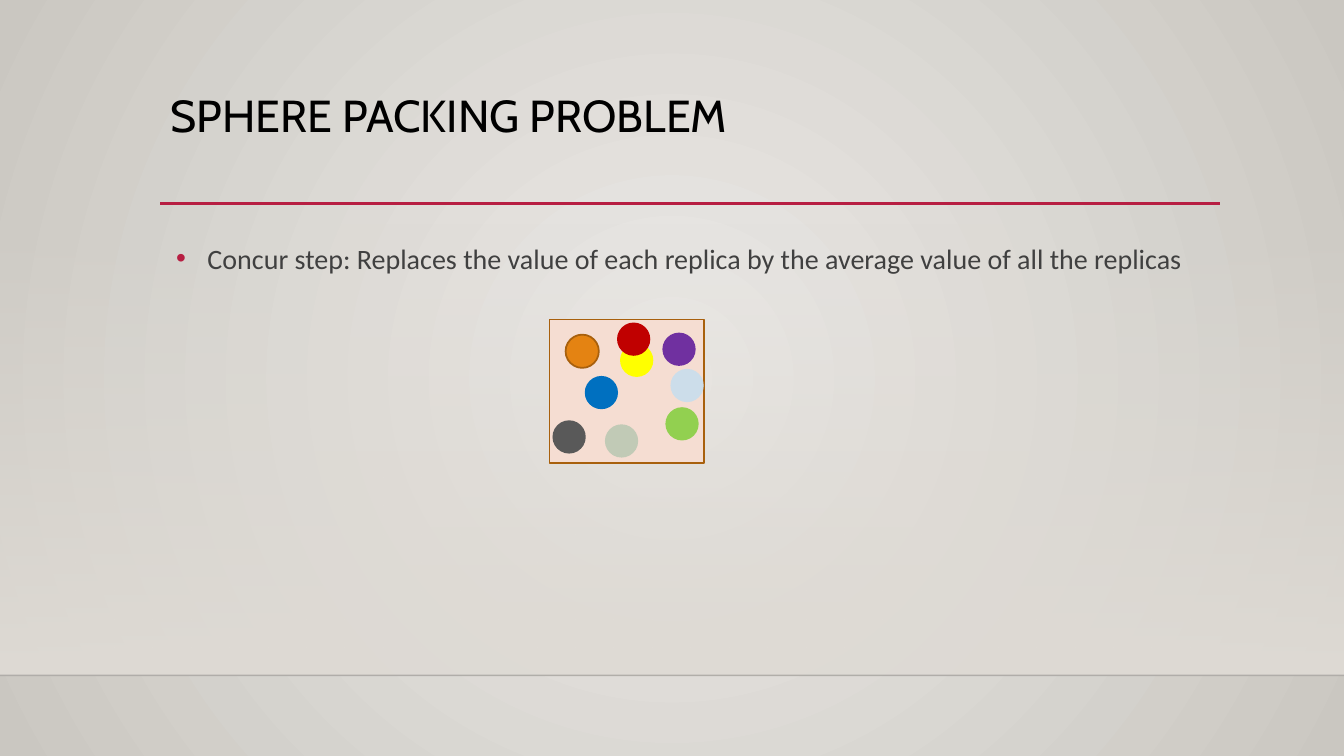
from typing import NamedTuple, Optional

from lxml import etree
from pptx import Presentation
from pptx.dml.color import RGBColor
from pptx.enum.shapes import MSO_CONNECTOR, MSO_SHAPE
from pptx.oxml import parse_xml
from pptx.oxml.ns import nsdecls, qn
from pptx.util import Inches, Pt

LINE = MSO_CONNECTOR.STRAIGHT
RECT, OVAL = MSO_SHAPE.RECTANGLE, MSO_SHAPE.OVAL

BG_CENTER = RGBColor(0xEC, 0xEA, 0xE7)
BG_EDGE = RGBColor(0xCA, 0xC7, 0xC1)
WALL = RGBColor(0xDF, 0xDB, 0xD5)
FLOOR_LINE = RGBColor(0x00, 0x00, 0x01)
ACCENT = RGBColor(0xB7, 0x1E, 0x42)
BLACK = RGBColor(0x00, 0x00, 0x00)
BODY_TEXT = RGBColor(0x40, 0x40, 0x40)
BOX_FILL = RGBColor(0xF5, 0xDD, 0xD2)
OUTLINE = RGBColor(0xA8, 0x60, 0x0D)
DIAMETER = 0.33


class Sphere(NamedTuple):
    left: float
    top: float
    color: RGBColor
    outline: Optional[RGBColor] = None


# Back to front
SPHERES = [
    Sphere(6.57, 3.30, RGBColor(0x70, 0x30, 0xA0)),
    Sphere(6.60, 4.04, RGBColor(0x92, 0xD0, 0x50)),
    Sphere(6.15, 3.41, RGBColor(0xFF, 0xFF, 0x00)),
    Sphere(5.80, 3.73, RGBColor(0x00, 0x70, 0xC0)),
    Sphere(5.48, 4.17, RGBColor(0x59, 0x59, 0x59)),
    Sphere(6.00, 4.21, RGBColor(0xC1, 0xCA, 0xB6)),
    Sphere(6.12, 3.20, RGBColor(0xC0, 0x00, 0x00)),
    Sphere(6.65, 3.66, RGBColor(0xCC, 0xDD, 0xEA)),
    Sphere(5.61, 3.32, RGBColor(0xE4, 0x83, 0x12), OUTLINE),
]


def set_gradient(fill, first: RGBColor, last: RGBColor) -> None:
    fill.gradient()
    for stop, position, color in zip(fill.gradient_stops, (0, 1), (first, last)):
        stop.position = position
        stop.color.rgb = color


def set_alpha(parent, percent: int) -> None:
    color = next(parent.iter(qn("a:srgbClr")))
    etree.SubElement(color, qn("a:alpha")).set("val", str(percent * 1000))


def add_shape(s, kind, left: float, top: float, width: float, height: float,
              color: Optional[RGBColor] = None, outline: Optional[RGBColor] = None):
    sp = s.shapes.add_shape(kind, Inches(left), Inches(top), Inches(width), Inches(height))
    sp.shadow.inherit = False
    if color is not None:
        sp.fill.solid()
        sp.fill.fore_color.rgb = color
    if outline is None:
        sp.line.fill.background()
    else:
        sp.line.color.rgb = outline
        sp.line.width = Pt(1.25)
    return sp


def add_rule(s, left: float, right: float, y: float, color: RGBColor, width: float):
    rule = s.shapes.add_connector(LINE, Inches(left), Inches(y), Inches(right), Inches(y))
    rule.line.color.rgb = color
    rule.line.width = Pt(width)
    etree.SubElement(rule.line._get_or_add_ln().getparent(), qn("a:effectLst"))
    return rule


def add_text(s, text: str, left: float, top: float, width: float, height: float,
             font: str, size: int, color: RGBColor, spacing: float, bullet: bool = False) -> None:
    box = s.shapes.add_textbox(Inches(left), Inches(top), Inches(width), Inches(height))
    tf = box.text_frame
    tf.word_wrap = True
    p = tf.paragraphs[0]
    p.text = text
    p.line_spacing = spacing
    if bullet:
        pPr = p._p.get_or_add_pPr()
        pPr.set("marL", str(Inches(0.31)))
        pPr.set("indent", str(Inches(-0.31)))
        bullet_color = etree.SubElement(pPr, qn("a:buClr"))
        etree.SubElement(bullet_color, qn("a:srgbClr")).set("val", str(ACCENT))
        etree.SubElement(pPr, qn("a:buFont")).set("typeface", "Arial")
        etree.SubElement(pPr, qn("a:buChar")).set("char", "•")
    r = p.runs[0]
    r.font.name = font
    r.font.size = Pt(size)
    r.font.color.rgb = color


def main() -> None:
    prs = Presentation()
    prs.slide_width, prs.slide_height = Inches(13.33), Inches(7.5)
    s = prs.slides.add_slide(prs.slide_layouts[6])

    # Radial background
    set_gradient(s.background.fill, BG_CENTER, BG_EDGE)
    direction = next(s.background._cSld.iter(qn("a:lin")))
    direction.getparent().replace(direction, parse_xml(
        f'<a:path {nsdecls("a")} path="circle">'
        '<a:fillToRect l="50000" t="50000" r="50000" b="50000"/></a:path>'))

    # Wall fading in towards the floor line
    wall = add_shape(s, RECT, 0, 2.21, 13.33, 4.49)
    set_gradient(wall.fill, WALL, WALL)
    wall.fill.gradient_angle = 270
    set_alpha(wall.element.spPr, 0)
    floor = add_rule(s, 0, 13.33, 6.7, FLOOR_LINE, 1)
    set_alpha(floor.line._get_or_add_ln(), 20)

    # Title and body
    add_rule(s, 1.59, 12.1, 2.02, ACCENT, 2.5)
    add_text(s, "SPHERE PACKING PROBLEM", 1.59, 0.88, 10.5, 1.15,
             "Cabin", 32, BLACK, 0.9)
    add_text(s, "Concur step: Replaces the value of each replica by the average value "
             "of all the replicas", 1.65, 2.28, 10.5, 3.77,
             "Calibri", 20, BODY_TEXT, 1.2, bullet=True)

    # Box of spheres
    add_shape(s, RECT, 5.45, 3.17, 1.53, 1.42, BOX_FILL, OUTLINE)
    for sphere in SPHERES:
        add_shape(s, OVAL, sphere.left, sphere.top, DIAMETER, DIAMETER,
                  sphere.color, sphere.outline)

    prs.save("out.pptx")


if __name__ == "__main__":
    main()
